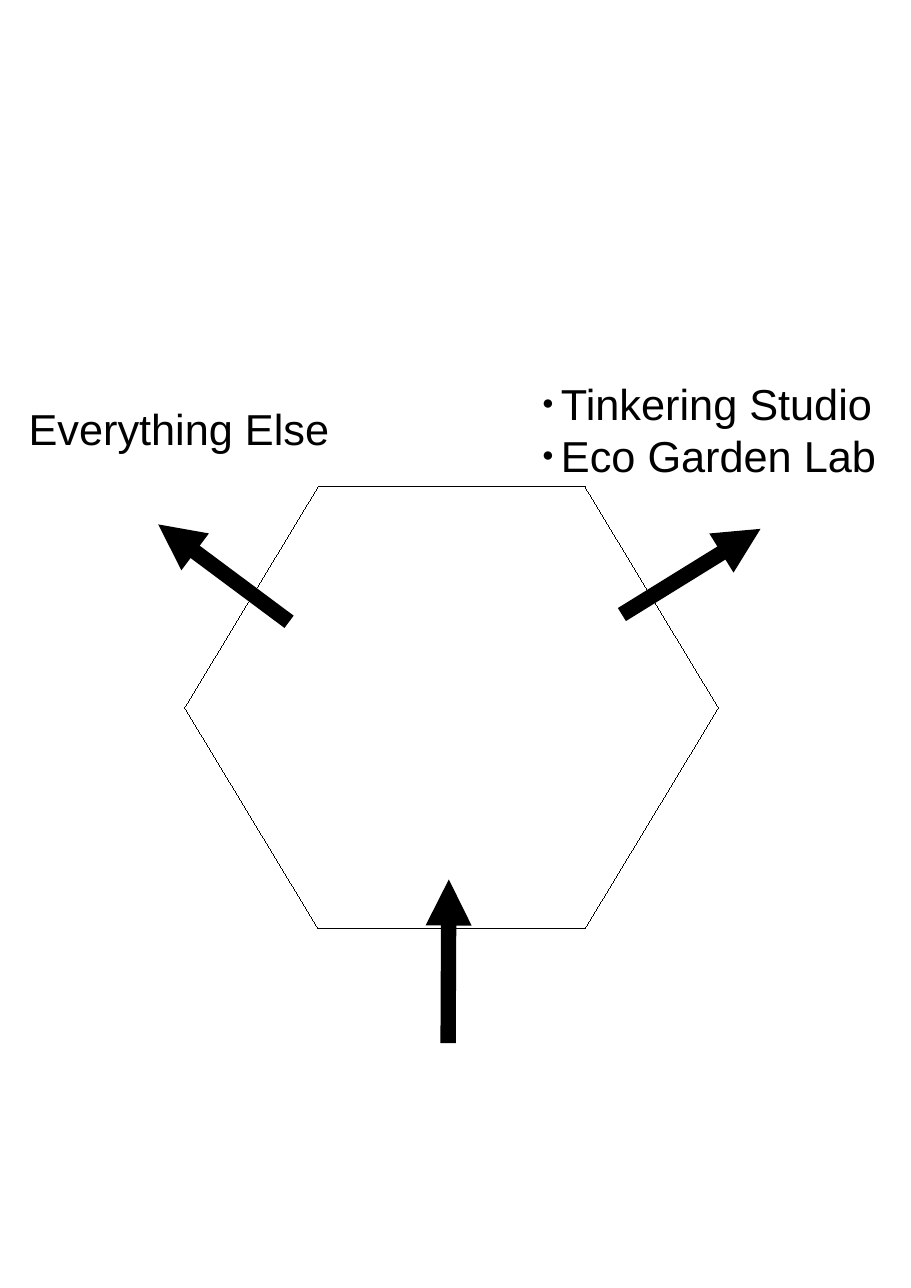
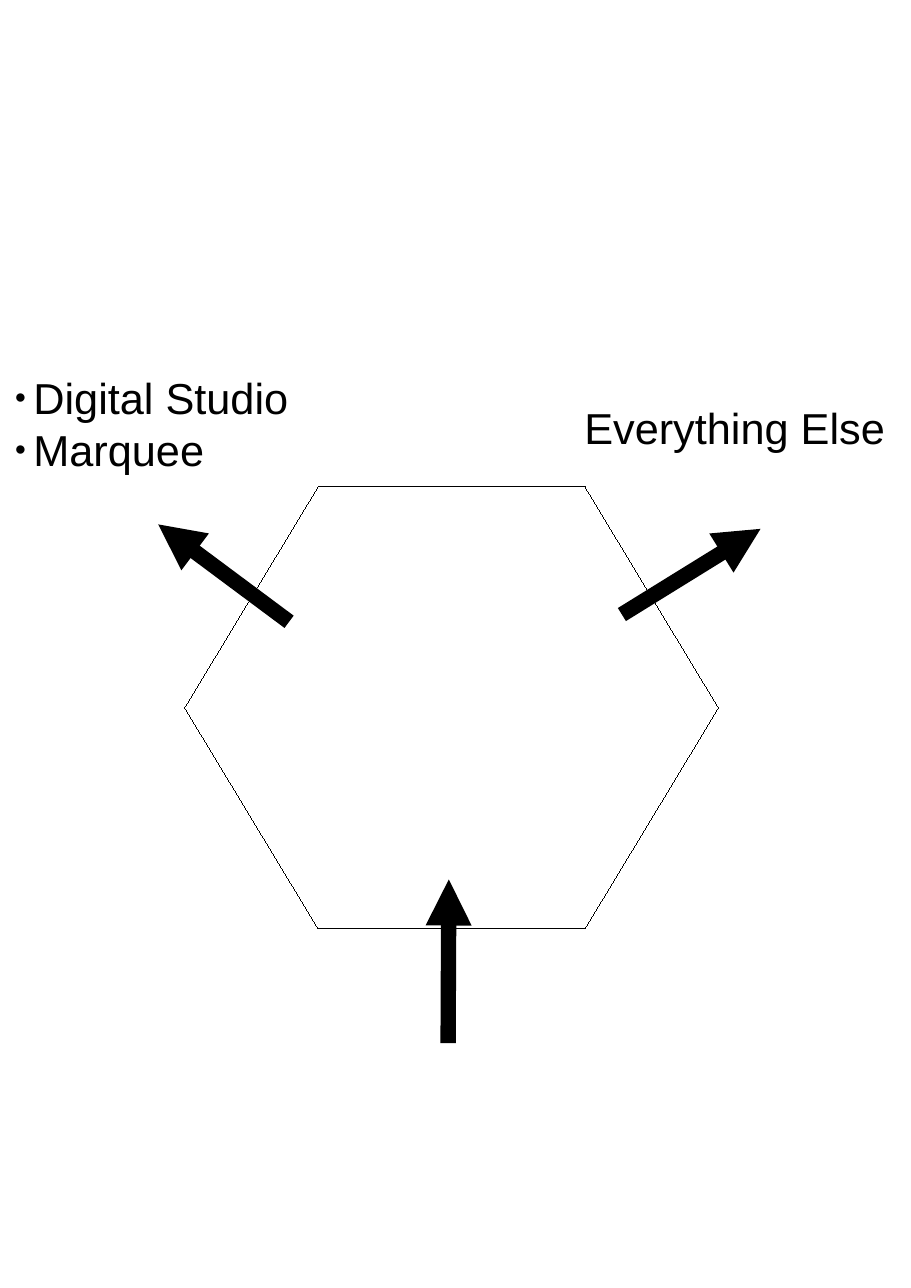
from lxml.etree import SubElement
from pptx import Presentation
from pptx.dml.color import RGBColor
from pptx.enum.shapes import MSO_CONNECTOR, MSO_SHAPE
from pptx.enum.text import MSO_AUTO_SIZE
from pptx.oxml.ns import qn
from pptx.util import Pt

BLACK = RGBColor(0x00, 0x00, 0x00)
WHITE = RGBColor(0xFF, 0xFF, 0xFF)
FONT = "Arial"
BLANK_LAYOUT = 6
BULLET_INDENT = Pt(17.3)

ARROWS = [
    ((414, 963.9), (414.7, 812.7)),
    ((267.1, 574.6), (146.2, 484.6)),
    ((574.6, 567.9), (702.7, 488.7)),
]

PAGES = [
    [
        (["Tinkering Studio", "Eco Garden Lab"], (493.9, 345, 323, 96.5), True),
        (["Everything Else"], (19.4, 368.6, 292.3, 51.8), False),
    ],
    [
        (["Digital Studio", "Marquee"], (6.5, 339.6, 268, 96.5), True),
        (["Everything Else"], (532.8, 367.6, 292.3, 51.8), False),
    ],
]


def add_hexagon(page, left, top, width, height):
    hexagon = page.shapes.add_shape(
        MSO_SHAPE.HEXAGON, Pt(left), Pt(top), Pt(width), Pt(height))
    hexagon.adjustments[0] = 0.302
    hexagon.shadow.inherit = False
    hexagon.fill.solid()
    hexagon.fill.fore_color.rgb = WHITE
    hexagon.line.color.rgb = BLACK
    hexagon._element.spPr.find(qn("a:ln")).set("w", "0")


def add_arrow(page, start, end):
    points = [Pt(value) for value in (*start, *end)]
    arrow = page.shapes.add_connector(MSO_CONNECTOR.STRAIGHT, *points)
    arrow.line.color.rgb = BLACK
    arrow.line.width = Pt(14.17)
    properties = arrow._element.spPr
    SubElement(properties.find(qn("a:ln")), qn("a:tailEnd"), type="triangle")
    SubElement(properties, qn("a:effectLst"))


def add_bullet(para, color):
    para.line_spacing = Pt(48)
    properties = para._p.get_or_add_pPr()
    properties.set("marL", str(BULLET_INDENT))
    properties.set("indent", str(-BULLET_INDENT))
    bullet_color = SubElement(properties, qn("a:buClr"))
    SubElement(bullet_color, qn("a:srgbClr"), val=str(color))
    SubElement(properties, qn("a:buSzPct"), val="45000")
    SubElement(properties, qn("a:buFont"), typeface=FONT)
    SubElement(properties, qn("a:buChar"), char="●")


def add_text(page, lines, place, bulleted=False, size=40, color=BLACK):
    box = page.shapes.add_textbox(*[Pt(value) for value in place])
    frame = box.text_frame
    frame.word_wrap = False
    frame.auto_size = MSO_AUTO_SIZE.SHAPE_TO_FIT_TEXT
    for index, line in enumerate(lines):
        para = frame.add_paragraph() if index else frame.paragraphs[0]
        span = para.add_run()
        span.text = line
        span.font.name = FONT
        span.font.size = Pt(size)
        span.font.color.rgb = color
        if bulleted:
            add_bullet(para, color)


def add_page(deck, labels):
    page = deck.slides.add_slide(deck.slide_layouts[BLANK_LAYOUT])
    add_hexagon(page, 170.6, 449.8, 493.2, 408.2)
    for start, end in ARROWS:
        add_arrow(page, start, end)
    for lines, place, bulleted in labels:
        add_text(page, lines, place, bulleted=bulleted)


def main():
    deck = Presentation()
    deck.slide_width = Pt(841.7)
    deck.slide_height = Pt(1190.2)
    for labels in PAGES:
        add_page(deck, labels)
    deck.save("out.pptx")


if __name__ == "__main__":
    main()
